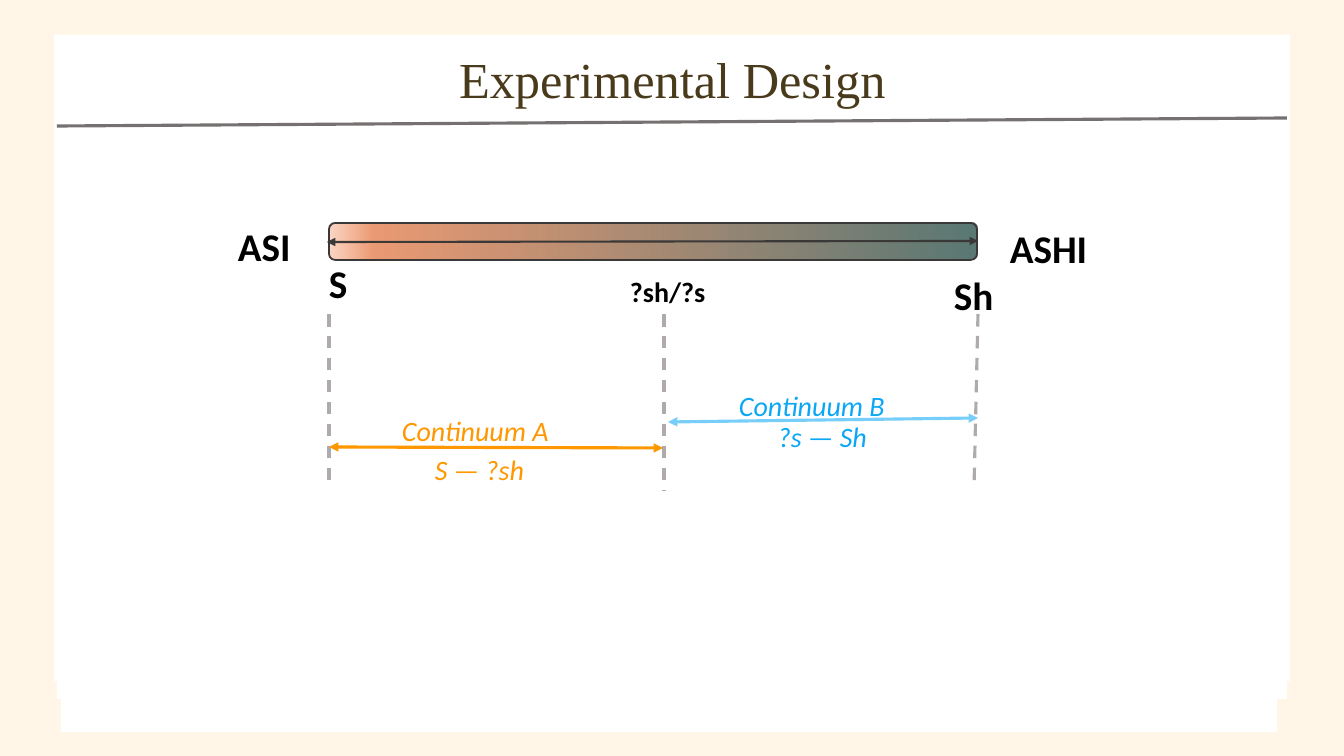
from dataclasses import dataclass

from lxml.etree import SubElement as Sub
from pptx import Presentation
from pptx.dml.color import RGBColor as Rgb
from pptx.enum.dml import MSO_LINE as Dash
from pptx.enum.shapes import MSO_CONNECTOR as Link, MSO_SHAPE as Form
from pptx.enum.text import MSO_ANCHOR as Anchor, PP_ALIGN as Align
from pptx.oxml.ns import qn
from pptx.util import Emu, Pt

SCALE = 914400 / 100.8  # EMU in one px


@dataclass(frozen=True)
class Theme:
    # Colours
    back: str = "FFF6E7"
    panel: str = "FFFFFF"
    title: str = "4A3A1C"
    rule: str = "767171"
    guide: str = "AFABAB"
    dark: str = "3B3838"
    ink: str = "000000"
    orange: str = "FE9700"
    sky: str = "77CEF9"
    blue: str = "0CA7F4"
    # Gradient stops: position, colour, opacity in percent
    blend: tuple = ((0, "F69C73", 40), (7, "EB9A73", 100), (100, "597874", 100))
    # Fonts and sizes
    serif: str = "Times New Roman"
    sans: str = "Calibri"
    head: int = 36
    large: int = 28
    small: int = 20


def px(*nums):
    return [Emu(round(n * SCALE)) for n in nums]


def write(frame, text, *, font, size, color, bold=False, slant=False,
          align=Align.LEFT, anchor=Anchor.TOP, space=None):
    frame.word_wrap = True
    frame.vertical_anchor = anchor
    para = frame.paragraphs[0]
    para.alignment = align
    para.line_spacing = space
    run = para.add_run()
    run.text = text
    face = run.font
    face.name, face.size = font, Pt(size)
    face.bold, face.italic = bold, slant
    face.color.rgb = Rgb.from_string(color)


class Board:
    def __init__(self, slide, theme):
        self.slide, self.theme = slide, theme
        self.shapes = slide.shapes
        fill = slide.background.fill
        fill.solid()
        fill.fore_color.rgb = Rgb.from_string(theme.back)

    def panel(self, *box):
        shape = self.shapes.add_shape(Form.RECTANGLE, *px(*box))
        shape.shadow.inherit = False
        shape.fill.solid()
        shape.fill.fore_color.rgb = Rgb.from_string(self.theme.panel)
        shape.line.fill.background()

    def title(self, text, *box):
        shape = self.shapes.title
        shape.left, shape.top, shape.width, shape.height = px(*box)
        write(shape.text_frame, text, font=self.theme.serif,
              size=self.theme.head, color=self.theme.title,
              align=Align.CENTER, anchor=Anchor.MIDDLE, space=0.9)
        # Bring the title in front of the panels
        self.shapes._spTree.append(shape._element)

    def line(self, *ends, color, width=2.25, dash=False, arrows=False):
        link = self.shapes.add_connector(Link.STRAIGHT, *px(*ends))
        link.line.width = Pt(width)
        link.line.color.rgb = Rgb.from_string(color)
        if dash:
            link.line.dash_style = Dash.DASH
        if arrows:
            for end in ("a:headEnd", "a:tailEnd"):
                Sub(link.line._get_or_add_ln(), qn(end), type="triangle")
        Sub(link._element.spPr, qn("a:effectLst"))

    def bar(self, *box):
        shape = self.shapes.add_shape(Form.ROUNDED_RECTANGLE, *px(*box))
        shape.shadow.inherit = False
        shape.line.color.rgb = Rgb.from_string(self.theme.dark)
        shape.line.width = Pt(1.25)
        shape.fill.gradient()
        shape.fill.gradient_angle = 0
        stops = shape._element.spPr.find(qn("a:gradFill")).find(qn("a:gsLst"))
        for old in list(stops):
            stops.remove(old)
        for spot, color, alpha in self.theme.blend:
            stop = Sub(stops, qn("a:gs"), pos=str(spot * 1000))
            tint = Sub(stop, qn("a:srgbClr"), val=color)
            Sub(tint, qn("a:alpha"), val=str(alpha * 1000))

    def label(self, text, *box, **style):
        shape = self.shapes.add_textbox(*px(*box))
        write(shape.text_frame, text, font=self.theme.sans, **style)


def main():
    deck = Presentation()
    deck.slide_width, deck.slide_height = px(1344, 756)
    look = Theme()
    board = Board(deck.slides.add_slide(deck.slide_layouts[5]), look)

    # White page and heading
    for box in ((54, 35, 1236, 646), (61, 35, 1216, 697), (57, 210, 1230, 489)):
        board.panel(*box)
    board.title("Experimental Design", 93, 40, 1159, 85)
    board.line(57, 126, 1287, 118, color=look.rule)

    # Dashed guides
    for top, foot, end in ((664, 664, 491), (329, 329, 489), (978, 974, 489)):
        board.line(top, 314, foot, end, color=look.guide, dash=True)

    # Two continua
    board.line(329, 447, 663, 448, color=look.orange, arrows=True)
    board.line(668, 422, 978, 418, color=look.sky, arrows=True)
    for text, left, top, width, color in (
        ("S — ?sh", 425, 448, 136, look.orange),
        ("?s — Sh", 768, 415, 147, look.blue),
        ("Continuum A", 392, 409, 182, look.orange),
        ("Continuum B", 729, 384, 188, look.blue),
    ):
        board.label(text, left, top, width, 44,
                    size=look.small, color=color, slant=True)

    # Full scale from S to Sh
    board.bar(329, 223, 648, 37)
    board.line(327, 242, 978, 241, color=look.dark, width=1.5, arrows=True)
    for text, left, top in (("ASHI", 1000, 219), ("ASI", 228, 217),
                            ("S", 319, 254), ("Sh", 944, 266)):
        board.label(text, left, top, 120, 57,
                    size=look.large, color=look.ink, bold=True)
    board.label("?sh/?s", 620, 270, 100, 44,
                size=look.small, color=look.ink, bold=True)

    deck.save("out.pptx")


if __name__ == "__main__":
    main()
